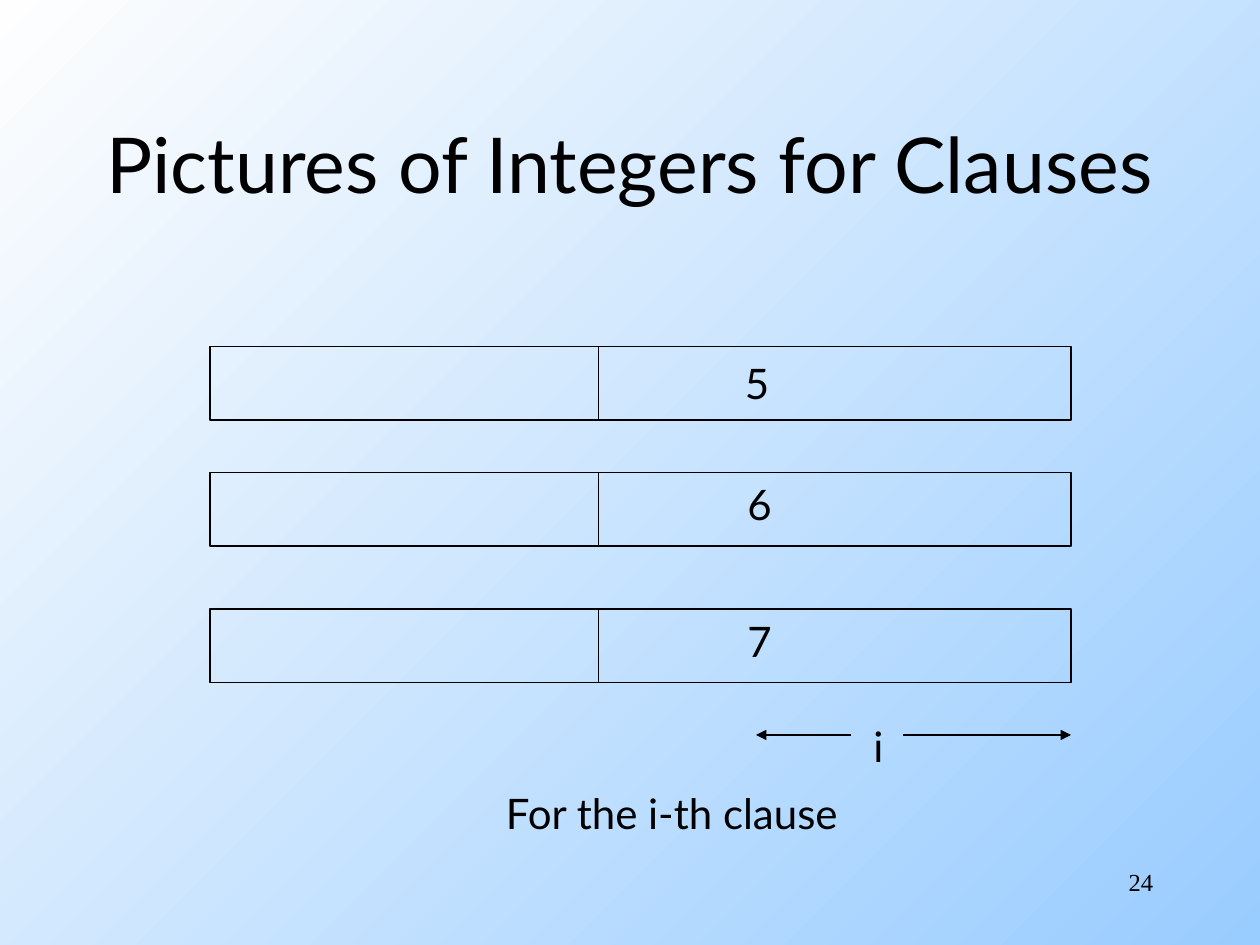
from lxml.etree import SubElement
from pptx import Presentation
from pptx.dml.color import RGBColor
from pptx.enum.shapes import MSO_CONNECTOR as Connector, MSO_SHAPE as Shape
from pptx.enum.text import MSO_ANCHOR as Anchor, MSO_AUTO_SIZE as AutoSize, PP_ALIGN as Align
from pptx.oxml.ns import qn
from pptx.util import Inches, Pt

BLACK = RGBColor(0x00, 0x00, 0x00)
SKY = RGBColor(0x99, 0xCC, 0xFF)
PALE = RGBColor(0xFE, 0xFE, 0xFE)
COLUMNS, ROWS = 120, 90


class ClauseSlide:
    """Draws the elements of one slide on a grid of 120 columns by 90 rows."""

    font = "Lato"
    line_width = Pt(0.75)

    def __init__(self, deck):
        self.column = deck.slide_width / COLUMNS
        self.row = deck.slide_height / ROWS
        self.slide = deck.slides.add_slide(deck.slide_layouts[5])

    def place(self, left, top, width, height):
        return (round(left * self.column), round(top * self.row),
                round(width * self.column), round(height * self.row))

    def background(self, start, end, angle):
        fill = self.slide.background.fill
        fill.gradient()
        fill.gradient_angle = angle
        for stop, color in zip(fill.gradient_stops, (start, end)):
            stop.color.rgb = color

    def add_words(self, frame, words, size, font=None, align=Align.LEFT):
        paragraph = frame.paragraphs[0]
        paragraph.alignment = align
        run = paragraph.add_run()
        run.text = words
        run.font.size = Pt(size)
        run.font.name = font or self.font
        run.font.color.rgb = BLACK

    def title(self, words, *area):
        heading = self.slide.shapes.title
        heading.left, heading.top, heading.width, heading.height = self.place(*area)
        frame = heading.text_frame
        frame.auto_size = AutoSize.NONE
        frame.vertical_anchor = Anchor.MIDDLE
        self.add_words(frame, words, 44, align=Align.CENTER)

    def label(self, words, *area):
        frame = self.slide.shapes.add_textbox(*self.place(*area)).text_frame
        frame.word_wrap = False
        frame.auto_size = AutoSize.SHAPE_TO_FIT_TEXT
        self.add_words(frame, words, 24)

    def page_number(self, words, *area):
        frame = self.slide.shapes.add_textbox(*self.place(*area)).text_frame
        frame.word_wrap = True
        self.add_words(frame, words, 14, "Times New Roman", Align.RIGHT)

    def line(self, start, end, arrow=False, shapes=None):
        x1, y1, x2, y2 = self.place(*start, *end)
        shapes = shapes or self.slide.shapes
        stroke = shapes.add_connector(Connector.STRAIGHT, x1, y1, x2, y2)
        stroke.line.color.rgb = BLACK
        stroke.line.width = self.line_width
        properties = stroke.element.spPr
        if arrow:
            SubElement(properties.find(qn("a:ln")), qn("a:tailEnd"), type="triangle")
        SubElement(properties, qn("a:effectLst"))

    def split_bar(self, left, top, width, height, divider):
        shapes = self.slide.shapes.add_group_shape().shapes
        bar = shapes.add_shape(Shape.RECTANGLE, *self.place(left, top, width, height))
        bar.shadow.inherit = False
        bar.fill.background()
        bar.line.color.rgb = BLACK
        bar.line.width = self.line_width
        self.line((divider, top), (divider, top + height), shapes=shapes)


def main():
    deck = Presentation()
    deck.slide_width, deck.slide_height = Inches(10), Inches(7.5)
    page = ClauseSlide(deck)
    page.background(SKY, PALE, 135)
    page.title("Pictures of Integers for Clauses", 0, 8, 120, 15)

    integers = (("5", 33, 69.75, 33.5), ("6", 45, 70, 45), ("7", 58, 70, 58))
    for _, bar_top, _, _ in integers:
        page.split_bar(20, bar_top, 82, 7, divider=57)
    for integer, _, label_left, label_top in integers:
        page.label(integer, label_left, label_top, 4.68, 6)

    page.label("i", 82, 68, 3.36, 6)
    for inner, outer in ((81, 72), (86, 102)):
        page.line((inner, 70), (outer, 70), arrow=True)
    page.label("For the i-th clause", 47, 74.4, 35.88, 6)
    page.page_number("24", 86, 82, 25, 6)
    deck.save("out.pptx")


if __name__ == "__main__":
    main()
